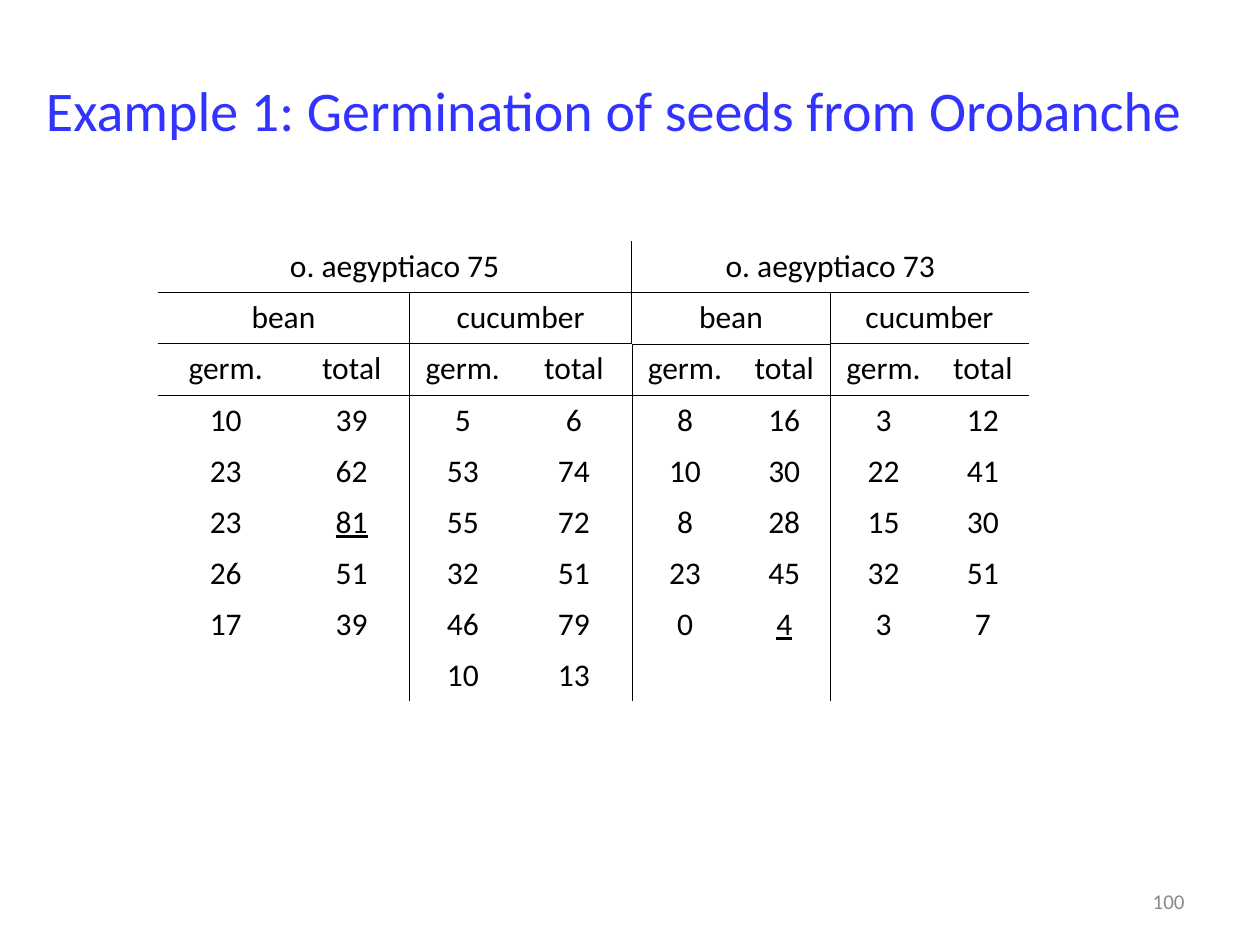
from dataclasses import dataclass

import lxml.etree
import pptx
import pptx.dml.color
import pptx.enum.text
import pptx.oxml.ns
import pptx.util

Pt = pptx.util.Pt
Align = pptx.enum.text.PP_ALIGN
Anchor = pptx.enum.text.MSO_ANCHOR


@dataclass(frozen=True)
class Theme:
    font: str = "Calibri"
    title_color: str = "3333FF"
    text_color: str = "000000"
    number_color: str = "898989"
    title_size: float = 32
    table_size: float = 18
    number_size: float = 12
    line: float = 0.45
    hairline: float = 0.11


@dataclass(frozen=True)
class Area:
    left: float
    top: float
    width: float
    height: float

    def lengths(self) -> tuple:
        return Pt(self.left), Pt(self.top), Pt(self.width), Pt(self.height)


THEME = Theme()
COLUMN_WIDTHS = (78, 66, 61, 66, 61, 52.5, 61, 52.5)
ROW_HEIGHT = 29.2
SPECIES = ("o. aegyptiaco 75", "o. aegyptiaco 73")
HOSTS = ("bean", "cucumber") * 2
MEASURES = ("germ.", "total") * 4
COUNTS = (
    (10, 39, 5, 6, 8, 16, 3, 12),
    (23, 62, 53, 74, 10, 30, 22, 41),
    (23, 81, 55, 72, 8, 28, 15, 30),
    (26, 51, 32, 51, 23, 45, 32, 51),
    (17, 39, 46, 79, 0, 4, 3, 7),
    ("", "", 10, 13, "", "", "", ""),
)
UNDERLINED = {(5, 1), (7, 5)}


def write_text(frame, text: str, *, size: float, color: str,
               align=Align.CENTER, underline: bool = False) -> None:
    para = frame.paragraphs[0]
    para.alignment = align
    para.font.size = Pt(size)
    if not text:
        return
    span = para.add_run()
    span.text = text
    span.font.name = THEME.font
    span.font.size = Pt(size)
    span.font.underline = underline
    span.font.color.rgb = pptx.dml.color.RGBColor.from_string(color)


def add_text_box(page, area: Area, text: str, **text_format) -> None:
    box = page.shapes.add_textbox(*area.lengths())
    frame = box.text_frame
    frame.word_wrap = True
    frame.vertical_anchor = Anchor.MIDDLE
    write_text(frame, text, **text_format)


def vertical_rule(row: int, column: int) -> float:
    if column not in (1, 3, 5) or (row == 0 and column != 3):
        return 0
    return THEME.line if row < 2 or column == 1 else THEME.hairline


def horizontal_rule(row: int, column: int) -> float:
    if row not in (0, 1, 2):
        return 0
    thin = row == 2 or (row == 1 and column in (4, 5))
    return THEME.hairline if thin else THEME.line


def draw_border(cell, side: str, width: float) -> None:
    qn = pptx.oxml.ns.qn
    properties = cell._tc.get_or_add_tcPr()
    line = lxml.etree.SubElement(properties, qn(f"a:ln{side}"), w=str(Pt(width)))
    if width:
        fill = lxml.etree.SubElement(line, qn("a:solidFill"))
        lxml.etree.SubElement(fill, qn("a:srgbClr"), val=THEME.text_color)
    else:
        lxml.etree.SubElement(line, qn("a:noFill"))


def format_cell(cell, row: int, column: int) -> None:
    last_column = column + max(cell.span_width, 1) - 1
    draw_border(cell, "L", vertical_rule(row, column - 1))
    draw_border(cell, "R", vertical_rule(row, last_column))
    draw_border(cell, "T", horizontal_rule(row - 1, column))
    draw_border(cell, "B", horizontal_rule(row, column))
    cell.fill.background()


def add_seed_table(page, left: float, top: float) -> None:
    levels = (SPECIES, HOSTS, MEASURES) + COUNTS
    column_count = len(COLUMN_WIDTHS)
    area = Area(left, top, sum(COLUMN_WIDTHS), ROW_HEIGHT * len(levels))
    table = page.shapes.add_table(len(levels), column_count, *area.lengths()).table
    table.first_row = False
    table.horz_banding = False
    for column, width in zip(table.columns, COLUMN_WIDTHS):
        column.width = Pt(width)
    for row, labels in enumerate(levels):
        table.rows[row].height = Pt(ROW_HEIGHT)
        step = column_count // len(labels)
        for index, label in enumerate(labels):
            column = index * step
            cell = table.cell(row, column)
            if step > 1:
                cell.merge(table.cell(row, column + step - 1))
            write_text(cell.text_frame, str(label), size=THEME.table_size,
                       color=THEME.text_color,
                       underline=(row, column) in UNDERLINED)
        for column in range(column_count):
            format_cell(table.cell(row, column), row, column)


def main() -> None:
    deck = pptx.Presentation()
    deck.slide_width, deck.slide_height = Pt(720), Pt(540)
    page = deck.slides.add_slide(deck.slide_layouts[6])
    add_text_box(page, Area(18, 21.6, 666, 81),
                 "Example 1: Germination of seeds from Orobanche",
                 size=THEME.title_size, color=THEME.title_color)
    add_seed_table(page, 90, 138)
    add_text_box(page, Area(516, 500.5, 168, 28.8), "100",
                 size=THEME.number_size, color=THEME.number_color,
                 align=Align.RIGHT)
    deck.save("out.pptx")


if __name__ == "__main__":
    main()
